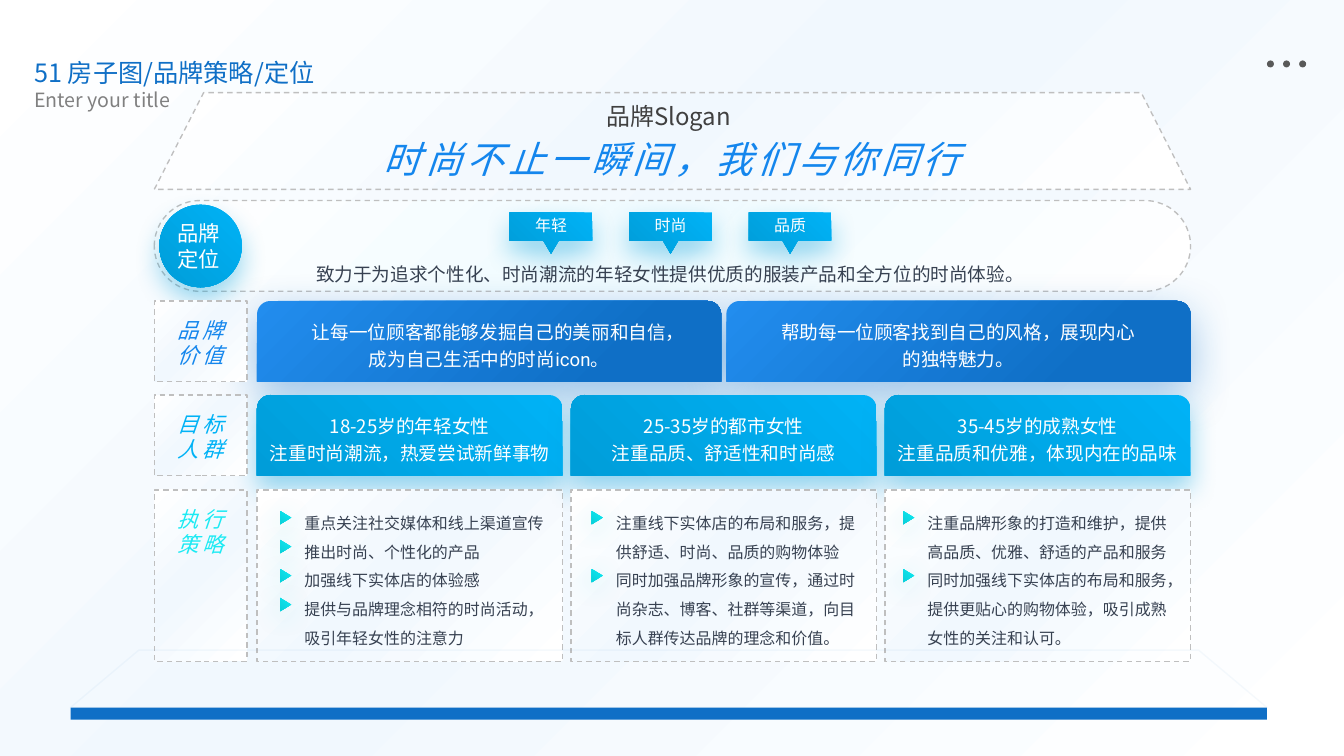
from math import ceil

from lxml.etree import SubElement
from pptx import Presentation
from pptx.dml.color import RGBColor
from pptx.enum.dml import MSO_LINE
from pptx.enum.shapes import MSO_SHAPE
from pptx.enum.text import MSO_ANCHOR, MSO_AUTO_SIZE, PP_ALIGN
from pptx.oxml.ns import qn
from pptx.util import Pt

# Content
TITLE = "51 房子图/品牌策略/定位"
SUBTITLE = "Enter your title"
SLOGAN_LABEL = "品牌Slogan"
SLOGAN = "时尚不止一瞬间，我们与你同行"
POSITIONING = ("品牌", "定位")
KEYWORDS = ("年轻", "时尚", "品质")
POSITIONING_TEXT = "致力于为追求个性化、时尚潮流的年轻女性提供优质的服装产品和全方位的时尚体验。"
ROW_LABELS = (("品牌", "价值"), ("目标", "人群"), ("执行", "策略"))
VALUES = (
    "让每一位顾客都能够发掘自己的美丽和自信，成为自己生活中的时尚icon。",
    "帮助每一位顾客找到自己的风格，展现内心的独特魅力。",
)
AUDIENCES = (
    ("18-25岁的年轻女性", "注重时尚潮流，热爱尝试新鲜事物"),
    ("25-35岁的都市女性", "注重品质、舒适性和时尚感"),
    ("35-45岁的成熟女性", "注重品质和优雅，体现内在的品味"),
)
STRATEGIES = (
    ("重点关注社交媒体和线上渠道宣传", "推出时尚、个性化的产品",
     "加强线下实体店的体验感", "提供与品牌理念相符的时尚活动，吸引年轻女性的注意力"),
    ("注重线下实体店的布局和服务，提供舒适、时尚、品质的购物体验",
     "同时加强品牌形象的宣传，通过时尚杂志、博客、社群等渠道，向目标人群传达品牌的理念和价值。"),
    ("注重品牌形象的打造和维护，提供高品质、优雅、舒适的产品和服务",
     "同时加强线下实体店的布局和服务，提供更贴心的购物体验，吸引成熟女性的关注和认可。"),
)

# Theme: gradients are (stops, focus as left, top, right, bottom);
# shadows are (colour, blur, distance)
CJK, LATIN = "Noto Sans CJK SC", "Roboto"
BLUE, SKY, AQUA = "0F6FC6", "009DD9", "0BD0D9"
TOP_LEFT, BOTTOM_LEFT, BOTTOM_RIGHT = (0, 0, 100, 100), (0, 100, 100, 0), (100, 100, 0, 0)
ACCENT = {"size": 15.2, "italic": True, "spacing": 3}
THEME = {
    "paper": (((0, "FFFFFF"), (46, "F1F8FE"), (100, "FFFFFF")), TOP_LEFT),
    "pill": (((0, "FFFFFF"), (46, "F0FBFF"), (100, "FFFFFF")), TOP_LEFT),
    "blue": (((23, BLUE), (100, "228DEE")), BOTTOM_RIGHT),
    "sky": (((0, SKY), (100, "00B2F6")), BOTTOM_LEFT),
    "aqua": (((0, AQUA), (100, "0DE9F3")), BOTTOM_LEFT),
    "blue_shadow": (BLUE, 30.8, 9.2),
    "sky_shadow": (SKY, 19, 9.2),
    "aqua_shadow": (AQUA, 19, 3.8),
    "base_shadow": (BLUE, 32.4, 9.7),
    "dash": "BFBFBF",
    "dots": "595959",
    "title": {"size": 18, "color": BLUE},
    "subtitle": {"size": 14, "color": "808080"},
    "slogan_label": {"size": 17.1, "color": "404040"},
    "slogan": {**ACCENT, "size": 26.6, "color": ("1486ED", BLUE)},
    "row_labels": [{**ACCENT, "color": pair} for pair in
                   (("1486ED", BLUE), ("00B2F6", SKY), ("1BEAF3", AQUA))],
    "disc": {"size": 15.2, "color": "FFFFFF"},
    "keyword": {"size": 11.4, "color": "FFFFFF"},
    "positioning": {"size": 13.3, "color": "374151", "font": LATIN},
    "audience": {"size": 13.3, "color": "FFFFFF", "leading": 1.2},
    "card": {"size": 13.3, "color": "FFFFFF", "leading": 1.2, "font": LATIN},
    "strategy": {"size": 11.4, "color": "374151", "leading": 1.5, "font": LATIN},
}

# Layout
LEFT, WIDTH, LABEL_WIDTH = 110.2, 740.2, 66.2
BODY_LEFT = 183.6
BODY_WIDTH = LEFT + WIDTH - BODY_LEFT
ROWS = ((215, 57.6), (282.2, 57.6), (350, 122.4))
LIST_LEFT, LIST_TOP, LIST_PITCH, LIST_WIDTH = 210.2, 356.4, 222.5, 186
LINE_PITCH, CHARS_PER_LINE = 20.7, 15

prs = Presentation()
prs.slide_width, prs.slide_height = Pt(960), Pt(540)
slide = prs.slides.add_slide(prs.slide_layouts[4])
shapes = slide.shapes


def columns(count, gap):
    """Left edges and common width of equal columns across the body."""
    width = (BODY_WIDTH - gap * (count - 1)) / count
    return [BODY_LEFT + i * (width + gap) for i in range(count)], width


def paint_path(shape, stops, focus):
    """Fill with a circular gradient that starts at the focus."""
    shape.fill.gradient()
    grad = shape._element.spPr.find(qn("a:gradFill"))
    for child in list(grad):
        grad.remove(child)
    stop_list = SubElement(grad, qn("a:gsLst"))
    for position, color in stops:
        stop = SubElement(stop_list, qn("a:gs"), pos=str(position * 1000))
        SubElement(stop, qn("a:srgbClr"), val=color)
    circle = SubElement(grad, qn("a:path"), path="circle")
    SubElement(circle, qn("a:fillToRect"),
               {side: str(share * 1000) for side, share in zip("ltrb", focus)})


def dress(shape, fill=None, shadow=None, dashed=False):
    shape.shadow.inherit = False
    if fill is None:
        shape.fill.background()
    elif isinstance(fill, str):
        shape.fill.solid()
        shape.fill.fore_color.rgb = RGBColor.from_string(fill)
    else:
        paint_path(shape, *fill)
    if dashed:
        shape.line.color.rgb = RGBColor.from_string(THEME["dash"])
        shape.line.width = Pt(0.95)
        shape.line.dash_style = MSO_LINE.DASH
    else:
        shape.line.fill.background()
    if shadow:
        color, blur, distance = shadow
        outer = SubElement(shape._element.spPr.find(qn("a:effectLst")), qn("a:outerShdw"),
                           blurRad=str(Pt(blur)), dist=str(Pt(distance)), dir="5400000",
                           algn="t", rotWithShape="0")
        tint = SubElement(outer, qn("a:srgbClr"), val=color)
        SubElement(tint, qn("a:alpha"), val="40000")
    return shape


def add(kind, x, y, w, h, **look):
    return dress(shapes.add_shape(kind, Pt(x), Pt(y), Pt(w), Pt(h)), **look)


def write(shape, lines, align=PP_ALIGN.CENTER, anchor=MSO_ANCHOR.MIDDLE,
          margins=(7.2, 3.6, 7.2, 3.6)):
    """Set (text, style) lines as the paragraphs of a shape."""
    frame = shape.text_frame
    frame.word_wrap, frame.auto_size = True, MSO_AUTO_SIZE.NONE
    frame.vertical_anchor = anchor
    (frame.margin_left, frame.margin_top,
     frame.margin_right, frame.margin_bottom) = map(Pt, margins)
    for i, (text, style) in enumerate(lines):
        paragraph = frame.add_paragraph() if i else frame.paragraphs[0]
        paragraph.alignment = align
        paragraph.line_spacing = style.get("leading", 1.0)
        paragraph.space_before = paragraph.space_after = Pt(0)
        if shape.is_placeholder:
            props = paragraph._p.get_or_add_pPr()
            props.set("marL", "0")
            props.set("indent", "0")
            SubElement(props, qn("a:buNone"))
        run = paragraph.add_run()
        run.text = text
        font = run.font
        font.size, font.bold = Pt(style["size"]), False
        font.italic = style.get("italic", False)
        color = style["color"]
        if isinstance(color, str):
            font.color.rgb = RGBColor.from_string(color)
        else:
            font.fill.gradient()
            font.fill.gradient_angle = 270
            for stop, shade in zip(font.fill.gradient_stops, color):
                stop.color.rgb = RGBColor.from_string(shade)
        font.name = style.get("font", CJK)
        run_props = run._r.get_or_add_rPr()
        SubElement(run_props, qn("a:ea"), typeface=CJK)
        if "spacing" in style:
            run_props.set("spc", str(style["spacing"] * 100))


def add_text(x, y, w, h, text, style):
    write(shapes.add_textbox(Pt(x), Pt(y), Pt(w), Pt(h)), [(text, style)])


def place(holder, x, y, w, h, lines, anchor=MSO_ANCHOR.TOP):
    """Move a placeholder, bring it to the front and fill it."""
    holder.left, holder.top, holder.width, holder.height = map(Pt, (x, y, w, h))
    shapes._spTree.append(holder._element)
    write(holder, lines, PP_ALIGN.LEFT, anchor)


title, subtitle, *lists = list(slide.placeholders)
paper = {"fill": THEME["paper"], "dashed": True}

add(MSO_SHAPE.RECTANGLE, -1, 0, 961.5, 540, fill=THEME["paper"])
place(title, 17.3, 37.4, 335.5, 28.8, [(TITLE, THEME["title"])], MSO_ANCHOR.MIDDLE)
place(subtitle, 17.3, 59, 206, 24.5, [(SUBTITLE, THEME["subtitle"])])
for i in range(3):
    add(MSO_SHAPE.OVAL, 905 + i * 11.5, 43.2, 5, 5, fill=THEME["dots"])

# Roof and positioning band
roof = add(MSO_SHAPE.TRAPEZOID, LEFT, 66.2, WIDTH, 69.1, **paper)
roof.adjustments[0] = 0.51
add_text(423.4, 69.1, 108.7, 27.4, SLOGAN_LABEL, THEME["slogan_label"])
add_text(186.5, 93.6, 587.5, 38.9, SLOGAN, THEME["slogan"])
band = add(MSO_SHAPE.ROUNDED_RECTANGLE, LEFT, 143.3, WIDTH, 64.8,
           fill=THEME["pill"], dashed=True)
band.adjustments[0] = 0.5
disc = add(MSO_SHAPE.OVAL, 113.8, 146.2, 59, 59, fill=THEME["sky"], shadow=THEME["sky_shadow"])
write(disc, [(word, THEME["disc"]) for word in POSITIONING], margins=(0, 0, 3, 0))
for i, keyword in enumerate(KEYWORDS):
    x, y = 364.1 + i * 85.4, 151.7
    outline = [(x + dx, y + dy) for dx, dy in
               ((0, 0), (59, 0), (59, 20.2), (35, 20.2), (29.5, 29.5), (24, 20.2), (0, 20.2))]
    start, *corners = [(Pt(px), Pt(py)) for px, py in outline]
    builder = shapes.build_freeform(*start)
    builder.add_line_segments(corners)
    flag = dress(builder.convert_to_shape(), THEME["sky"], THEME["sky_shadow"])
    write(flag, [(keyword, THEME["keyword"])], anchor=MSO_ANCHOR.TOP, margins=(0, 2.5, 0, 0))
add_text(118.1, 184.3, 721.4, 23, POSITIONING_TEXT, THEME["positioning"])

# Rows of the house
value_row, audience_row, strategy_row = ROWS
lefts, width = columns(2, 3.6)
for x, value in zip(lefts, VALUES):
    card = add(MSO_SHAPE.ROUND_2_SAME_RECTANGLE, x, value_row[0], width, value_row[1],
               fill=THEME["blue"], shadow=THEME["blue_shadow"])
    write(card, [(value, THEME["card"])], margins=(33.8, 3.6, 33.8, 3.6))
lefts, width = columns(3, 6)
for x, (group, trait) in zip(lefts, AUDIENCES):
    card = add(MSO_SHAPE.ROUND_2_SAME_RECTANGLE, x, audience_row[0], width, audience_row[1],
               fill=THEME["sky"], shadow=THEME["sky_shadow"])
    write(card, [(group, THEME["audience"]), (trait, THEME["card"])], margins=(3.6,) * 4)
    add(MSO_SHAPE.RECTANGLE, x, strategy_row[0], width, strategy_row[1], **paper)
for (y, h), words, style in zip(ROWS, ROW_LABELS, THEME["row_labels"]):
    label = add(MSO_SHAPE.RECTANGLE, LEFT, y, LABEL_WIDTH, h, **paper)
    write(label, [(word, style) for word in words], anchor=MSO_ANCHOR.TOP,
          margins=(7.2, 11.5, 7.2, 3.6))
for i, (holder, items) in enumerate(zip(lists, STRATEGIES)):
    x, line = LIST_LEFT + i * LIST_PITCH, 0
    place(holder, x, LIST_TOP, LIST_WIDTH, 108.7, [(item, THEME["strategy"]) for item in items])
    for item in items:
        marker = add(MSO_SHAPE.ISOSCELES_TRIANGLE, x - 10.8, 365.8 + line * LINE_PITCH, 9.4, 7.9,
                     fill=THEME["aqua"], shadow=THEME["aqua_shadow"])
        marker.rotation = 90
        line += ceil(len(item) / CHARS_PER_LINE)

# Ground: a barely visible outline above a solid bar
ground = add(MSO_SHAPE.TRAPEZOID, 50.4, 464.4, 854.6, 41)
ground.adjustments[0] = 1.19
ground.line.color.rgb = RGBColor.from_string(BLUE)
ground.line.width = Pt(1)
outline_color = ground._element.spPr.find(qn("a:ln")).find(".//" + qn("a:srgbClr"))
SubElement(outline_color, qn("a:alpha"), val="3000")
add(MSO_SHAPE.RECTANGLE, 50.4, 505.4, 854.6, 8.6, fill=BLUE)

prs.save("out.pptx")
